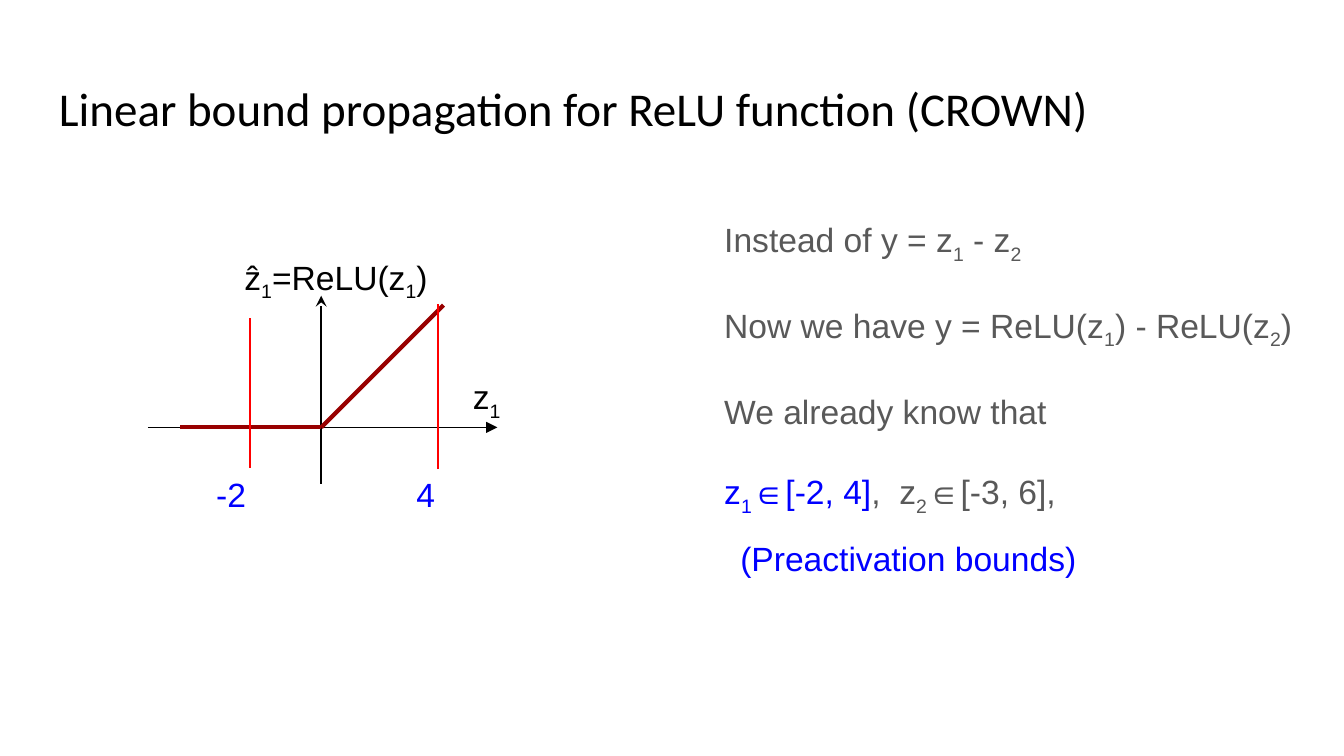
from lxml.etree import SubElement
from pptx import Presentation
from pptx.dml.color import RGBColor
from pptx.enum.shapes import MSO_CONNECTOR
from pptx.oxml.ns import qn
from pptx.util import Inches, Pt

SLIDE_WIDTH = Inches(10)
SLIDE_HEIGHT = SLIDE_WIDTH * 9 // 16

BLACK = RGBColor(0x00, 0x00, 0x00)
GRAY = RGBColor(0x59, 0x59, 0x59)
BLUE = RGBColor(0x00, 0x00, 0xFF)
RED = RGBColor(0xFF, 0x00, 0x00)
DARK_RED = RGBColor(0x98, 0x00, 0x00)

# Content: a paragraph is a list of (text, colour); "_" lowers the next character
TITLE = [[("Linear bound propagation for ReLU function (CROWN)", BLACK)]]
EXPLANATION = [
    [("Instead of y = z_1 - z_2", GRAY)],
    [("Now we have y = ReLU(z_1) - ReLU(z_2)", GRAY)],
    [("We already know that", GRAY)],
    [("z_1∈[-2, 4]", BLUE), (",  z_2∈[-3, 6],", GRAY)],
]
BOUNDS_NOTE = [[("(Preactivation bounds)", BLUE)]]

# Plot: lengths are offsets in inches from the origin, y pointing up
ORIGIN = (2.39, 3.18)
PLOT_LINES = [  # start, end, colour, width in points, arrowhead at the end
    ((-1.29, 0), (1.31, 0), BLACK, 0.75, "triangle"),
    ((0, -0.42), (0, 0.98), BLACK, 0.75, "stealth"),
    ((-1.05, 0), (0, 0), DARK_RED, 2.25, None),
    ((0, 0), (0.91, 0.91), DARK_RED, 2.25, None),
    ((-0.53, -0.3), (-0.53, 0.81), RED, 0.75, None),
    ((0.87, -0.31), (0.87, 0.92), RED, 0.75, None),
]
PLOT_LABELS = [  # text, colour, left and top offset, width
    ("ẑ_1=ReLU(z_1)", BLACK, -0.67, 1.42, 1.89),
    ("z_1", BLACK, 1.03, 0.53, 0.52),
    ("-2", BLUE, -0.88, -0.2, 0.53),
    ("4", BLUE, 0.61, -0.2, 0.53),
]
LABEL_HEIGHT = 0.5
LABEL_FORMAT = {"line_spacing": 1.15, "space_after": Pt(12)}


def add_run(paragraph, text, color, size, font_name, lowered=False):
    run = paragraph.add_run()
    run.text = text
    for name, value in {"size": Pt(size), "name": font_name}.items():
        setattr(run.font, name, value)
    run.font.color.rgb = color
    if lowered:
        run._r.get_or_add_rPr().set("baseline", "-25000")


def add_text(slide, box, paragraphs, size=18, font_name="Arial", gap=0, paragraph_format=None):
    frame = slide.shapes.add_textbox(*map(Inches, box)).text_frame
    frame.word_wrap = True
    for side in ("left", "top", "right", "bottom"):
        setattr(frame, f"margin_{side}", Inches(0.1))
    for index, parts in enumerate(paragraphs):
        paragraph = frame.add_paragraph() if index else frame.paragraphs[0]
        if index:
            paragraph.space_before = Pt(gap)
        for name, value in (paragraph_format or {}).items():
            setattr(paragraph, name, value)
        for text, color in parts:
            first, *rest = text.split("_")
            add_run(paragraph, first, color, size, font_name)
            for piece in rest:
                add_run(paragraph, piece[0], color, size, font_name, lowered=True)
                if piece[1:]:
                    add_run(paragraph, piece[1:], color, size, font_name)


def plot_point(x, y):
    return ORIGIN[0] + x, ORIGIN[1] - y


def add_line(slide, start, end, color, width, arrowhead):
    points = (*plot_point(*start), *plot_point(*end))
    connector = slide.shapes.add_connector(MSO_CONNECTOR.STRAIGHT, *map(Inches, points))
    connector.line.color.rgb = color
    connector.line.width = Pt(width)
    if arrowhead:
        SubElement(connector.line._get_or_add_ln(), qn("a:tailEnd"), type=arrowhead)
    SubElement(connector._element.spPr, qn("a:effectLst"))


def main():
    presentation = Presentation()
    presentation.slide_width = SLIDE_WIDTH
    presentation.slide_height = SLIDE_HEIGHT
    slide = presentation.slides.add_slide(presentation.slide_layouts[6])

    # Title and explanation
    add_text(slide, (0.34, 0.49, 9.32, 0.63), TITLE, size=25.2, font_name="Calibri")
    add_text(slide, (5.29, 1.53, 4.65, 2.33), EXPLANATION, gap=21.5)
    add_text(slide, (5.41, 3.9, 3.18, 0.63), BOUNDS_NOTE)

    # ReLU plot with its bounds
    for line in PLOT_LINES:
        add_line(slide, *line)
    for text, color, x, y, width in PLOT_LABELS:
        box = (*plot_point(x, y), width, LABEL_HEIGHT)
        add_text(slide, box, [[(text, color)]], paragraph_format=LABEL_FORMAT)

    presentation.save("out.pptx")


if __name__ == "__main__":
    main()
